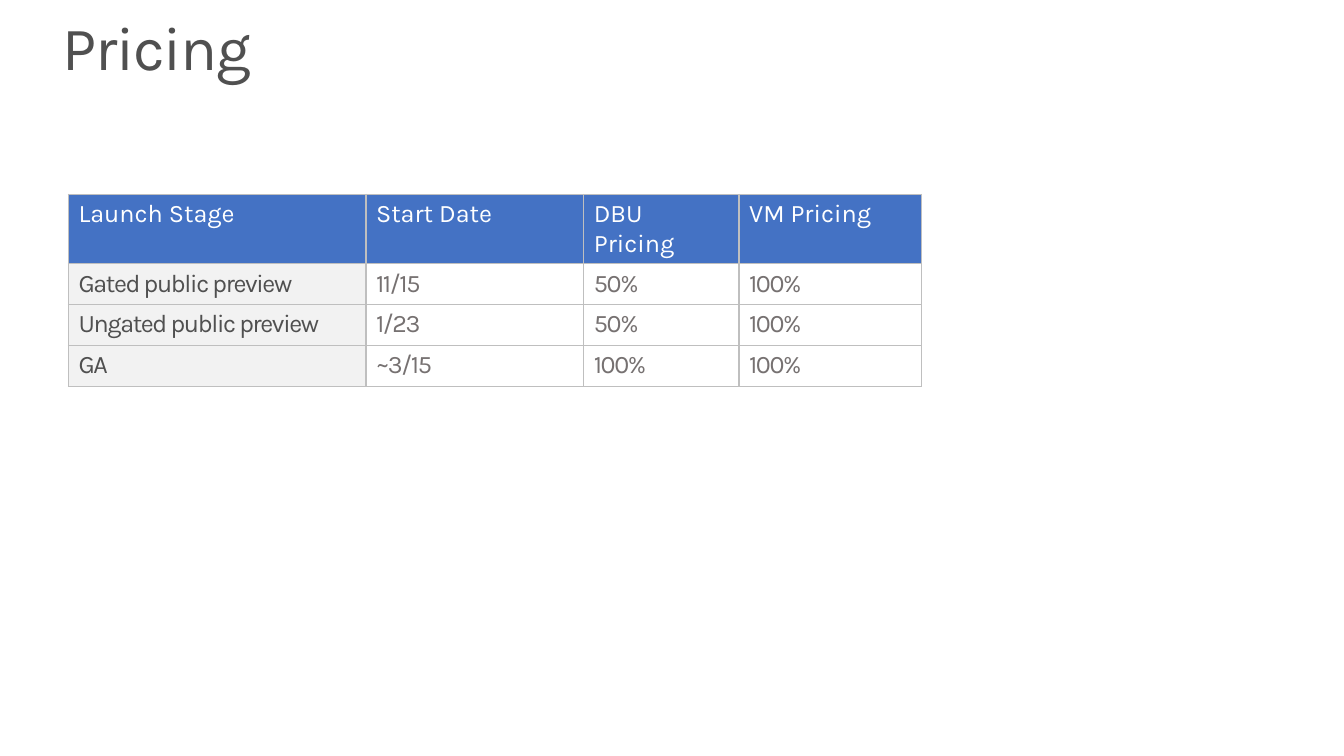
from lxml.etree import SubElement
from pptx import Presentation
from pptx.dml.color import RGBColor
from pptx.enum.text import MSO_ANCHOR, MSO_AUTO_SIZE, PP_ALIGN
from pptx.oxml.ns import qn
from pptx.util import Inches, Pt

FONT = "Karla"
DARK = "505050"
GREY = "767171"
WHITE = "FFFFFF"
BLUE = "4472C4"
PALE = "F2F2F2"
BORDER = "BFBFBF"

COLUMN_WIDTHS = [2.95, 2.16, 1.54, 1.81]
ROW_HEIGHT = 0.405
PRICING = [
    ["Launch Stage", "Start Date", "DBU Pricing", "VM Pricing"],
    ["Gated public preview", "11/15", "50%", "100%"],
    ["Ungated public preview", "1/23", "50%", "100%"],
    ["GA", "~3/15", "100%", "100%"],
]


def rgb(color):
    return RGBColor.from_string(color)


def add_span(para, text, size, color, spacing=0):
    """Add a run; spacing is the letter spacing in points."""
    span = para.add_run()
    span.text = text
    span.font.name = FONT
    span.font.size = Pt(size)
    span.font.color.rgb = rgb(color)
    if spacing:
        span.font._element.set("spc", str(spacing * 100))


def add_borders(cell):
    properties = cell._tc.get_or_add_tcPr()
    for side in ("a:lnL", "a:lnR", "a:lnT", "a:lnB"):
        line = SubElement(properties, qn(side), w=str(Pt(1)))
        fill = SubElement(line, qn("a:solidFill"))
        SubElement(fill, qn("a:srgbClr"), val=BORDER)


def fill_cell(cell, text, fill, color, spacing):
    add_borders(cell)
    if fill:
        cell.fill.solid()
        cell.fill.fore_color.rgb = rgb(fill)
    else:
        cell.fill.background()
    add_span(cell.text_frame.paragraphs[0], text, 18, color, spacing)


def add_title(page, text):
    title = page.shapes.title
    title.left, title.top = Inches(0.46), Inches(0.07)
    title.width, title.height = Inches(12.75), Inches(0.98)
    frame = title.text_frame
    frame.word_wrap = True
    frame.auto_size = MSO_AUTO_SIZE.NONE
    frame.vertical_anchor = MSO_ANCHOR.TOP
    frame.margin_left = frame.margin_right = Inches(0.16)
    frame.margin_top = frame.margin_bottom = Inches(0.1)
    para = frame.paragraphs[0]
    para.alignment = PP_ALIGN.LEFT
    para.line_spacing = 0.9
    add_span(para, text, 44, DARK, -1)


def add_pricing_table(page):
    table = page.shapes.add_table(
        len(PRICING), len(COLUMN_WIDTHS), Inches(0.68), Inches(1.93),
        Inches(sum(COLUMN_WIDTHS)), Inches(ROW_HEIGHT * len(PRICING))).table
    table.horz_banding = False
    for column, width in zip(table.columns, COLUMN_WIDTHS):
        column.width = Inches(width)
    for row, values in enumerate(PRICING):
        for column, text in enumerate(values):
            if row == 0:
                style = BLUE, WHITE, 0
            elif column == 0:
                style = PALE, DARK, -1
            else:
                style = None, GREY, -1
            fill_cell(table.cell(row, column), text, *style)


def main():
    deck = Presentation()
    deck.slide_width, deck.slide_height = Inches(13.33), Inches(7.5)
    page = deck.slides.add_slide(deck.slide_layouts[5])
    add_title(page, "Pricing")
    add_pricing_table(page)
    deck.save("out.pptx")


if __name__ == "__main__":
    main()
